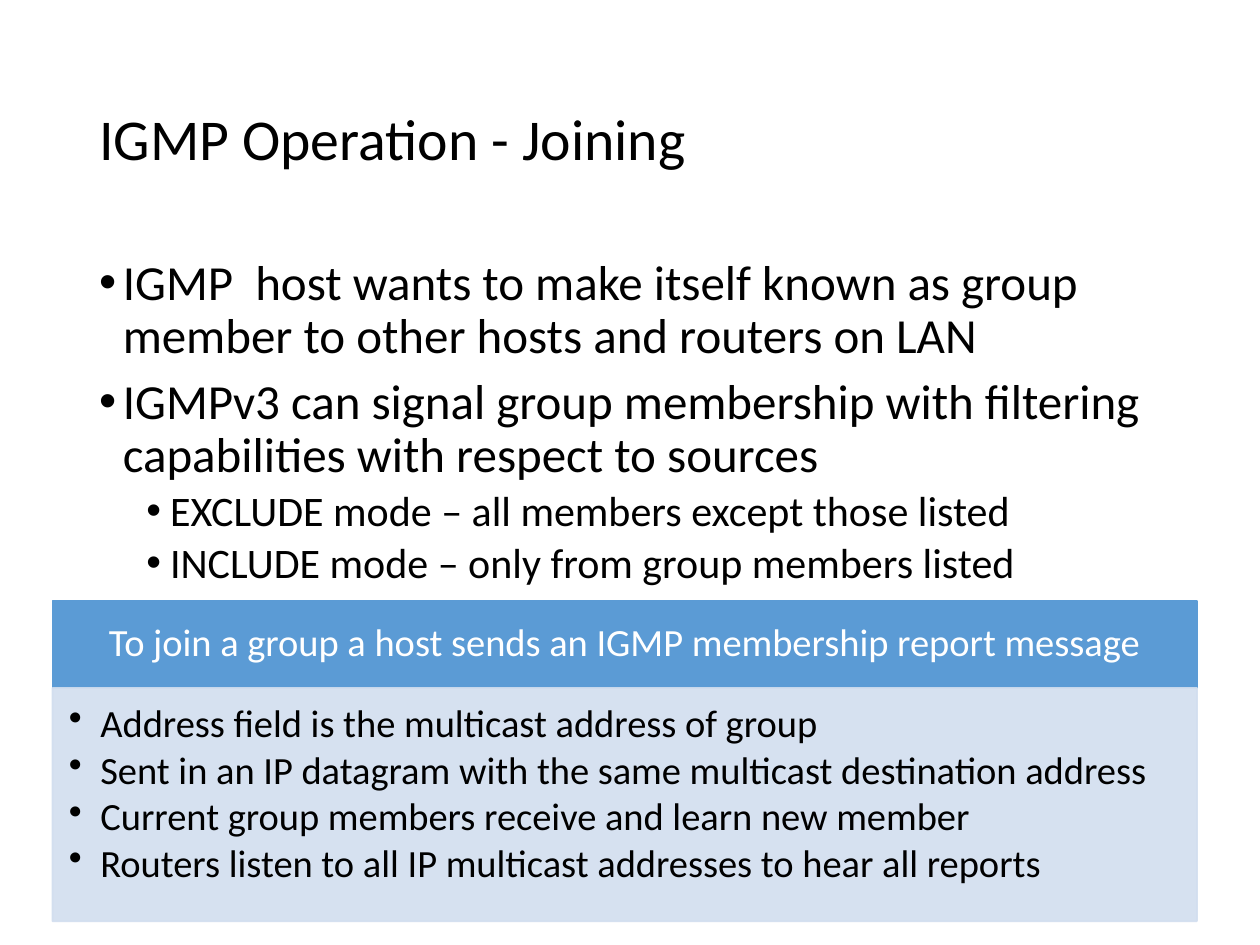
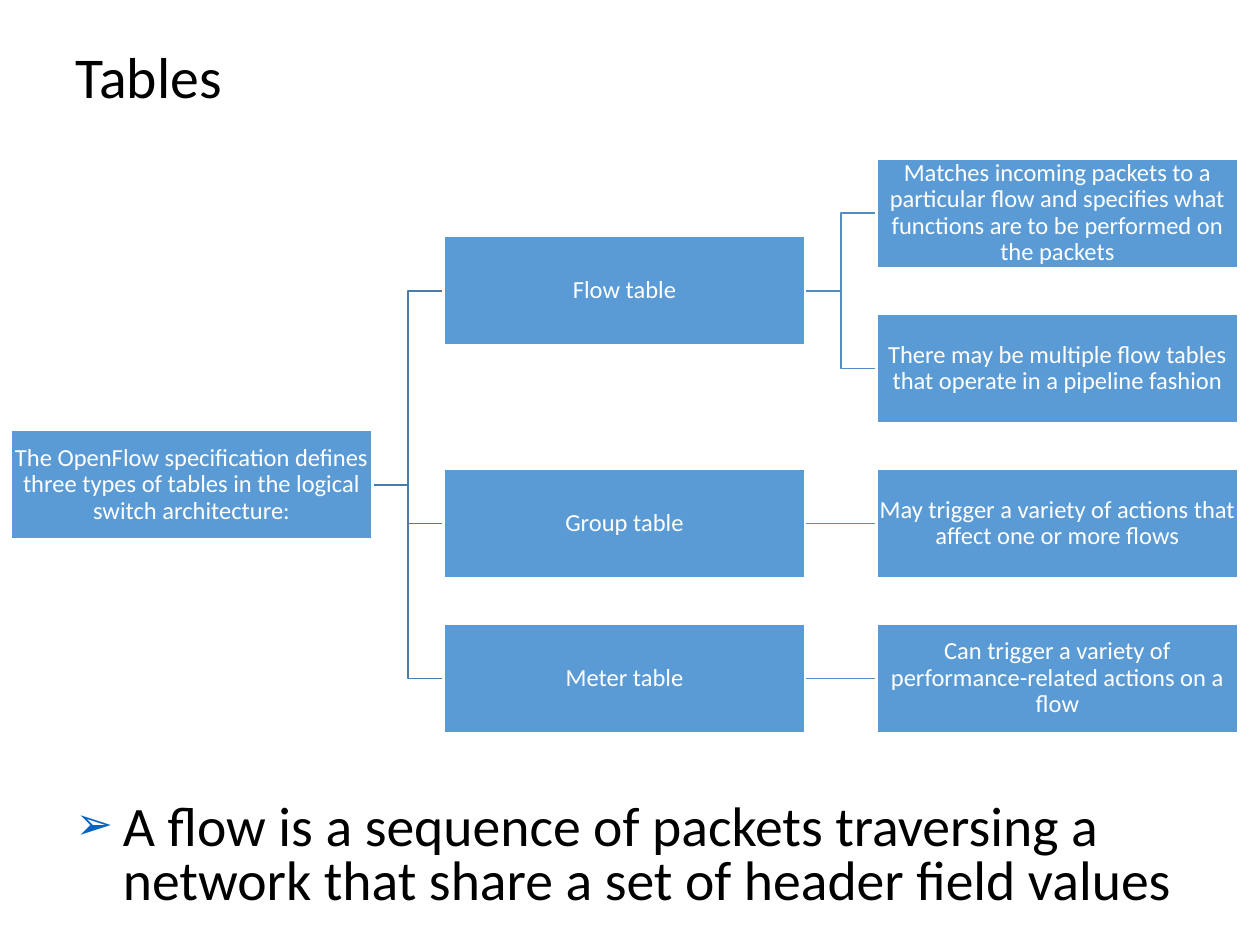
from dataclasses import dataclass
from typing import NamedTuple, Optional

import lxml.etree
import pptx
import pptx.dml.color
import pptx.enum.shapes
import pptx.enum.text
import pptx.oxml.ns
import pptx.util

Pt = pptx.util.Pt
qn = pptx.oxml.ns.qn
RGB = pptx.dml.color.RGBColor.from_string
ALIGN = pptx.enum.text.PP_ALIGN
ANCHOR = pptx.enum.text.MSO_ANCHOR
CONNECTOR = pptx.enum.shapes.MSO_CONNECTOR
RECTANGLE = pptx.enum.shapes.MSO_SHAPE.RECTANGLE


@dataclass(frozen=True)
class Theme:
    font: str = "Calibri"
    text: str = "000000"
    light_text: str = "FFFFFF"
    accent: str = "5B9BD5"
    pale: str = "D2DEEF"
    arrow_bullet: str = "0563C1"
    branch_colors: tuple = ("497CAB", "538DC1")
    title_size: float = 33
    list_sizes: tuple = (28, 24)
    statement_size: float = 31.8
    band_size: float = 22
    node_size: float = 14


THEME = Theme()


class Box(NamedTuple):
    left: float
    top: float
    width: float
    height: float


class Bullet(NamedTuple):
    char: str = "•"
    color: Optional[str] = None
    percent: int = 100


class ParaStyle(NamedTuple):
    size: float
    color: str = THEME.text
    align: ALIGN = ALIGN.LEFT
    spacing: float = 0.9
    before: float = 0
    after: float = 0
    level: int = 0
    margin: float = 0
    hanging: float = 0
    bullet: Optional[Bullet] = None


class Node(NamedTuple):
    text: str
    children: tuple = ()


TITLE = ParaStyle(THEME.title_size)
LIST_STYLES = (
    ParaStyle(THEME.list_sizes[0], before=7.5, margin=13.5, hanging=13.5, bullet=Bullet()),
    ParaStyle(THEME.list_sizes[1], before=3.8, level=1, margin=40.5, hanging=13.5,
              bullet=Bullet()),
)
STATEMENT = ParaStyle(THEME.statement_size, spacing=0.8, level=2, margin=27, hanging=27,
                      bullet=Bullet("➢", THEME.arrow_bullet, 80))
BAND_HEAD = ParaStyle(THEME.band_size, THEME.light_text, ALIGN.CENTER)
BAND_ITEM = ParaStyle(THEME.band_size, after=2.9, level=1, margin=18, hanging=18,
                      bullet=Bullet())
NODE = ParaStyle(THEME.node_size, THEME.light_text, ALIGN.CENTER)

JOIN_POINTS = (
    (0, "IGMP  host wants to make itself known as group member to other hosts "
        "and routers on LAN"),
    (0, "IGMPv3 can signal group membership with filtering capabilities "
        "with respect to sources"),
    (1, "EXCLUDE mode – all members except those listed"),
    (1, "INCLUDE mode – only from group members listed"),
)
REPORT_HEAD = "To join a group a host sends an IGMP membership report message"
REPORT_POINTS = (
    "Address field is the multicast address of group",
    "Sent in an IP datagram with the same multicast destination address",
    "Current group members receive and learn new member",
    "Routers listen to all IP multicast addresses to hear all reports",
)
TABLE_TREE = Node(
    "The OpenFlow specification defines three types of tables in the logical "
    "switch architecture:",
    (
        Node("Flow table", (
            Node("Matches incoming packets to a particular flow and specifies what "
                 "functions are to be performed on the packets"),
            Node("There may be multiple flow tables that operate in a pipeline fashion"),
        )),
        Node("Group table", (
            Node("May trigger a variety of actions that affect one or more flows"),
        )),
        Node("Meter table", (
            Node("Can trigger a variety of performance-related actions on a flow"),
        )),
    ),
)
FLOW_STATEMENT = ("A flow is a sequence of packets traversing a network that share "
                  "a set of header field values")

NODE_WIDTH, NODE_HEIGHT = 206.5, 62.6
TREE_LEFT, TREE_TOP = 6.2, 90.6
COLUMN_PITCH, ROW_PITCH = 247.4, 88.6


def add_bullet(p, style: ParaStyle) -> None:
    pPr = p._p.get_or_add_pPr()
    pPr.set("marL", str(Pt(style.margin)))
    pPr.set("indent", str(-Pt(style.hanging)))
    if style.bullet.color:
        color = lxml.etree.SubElement(pPr, qn("a:buClr"))
        lxml.etree.SubElement(color, qn("a:srgbClr"), val=style.bullet.color)
    lxml.etree.SubElement(pPr, qn("a:buSzPct"), val=str(style.bullet.percent * 1000))
    lxml.etree.SubElement(pPr, qn("a:buChar"), char=style.bullet.char)


def write(tf, items: list[tuple[str, ParaStyle]]) -> None:
    tf.word_wrap = True
    tf.auto_size = pptx.enum.text.MSO_AUTO_SIZE.NONE
    tf.text = "\n".join(text for text, _ in items)
    for i, (p, (_, style)) in enumerate(zip(tf.paragraphs, items)):
        if style.bullet:
            add_bullet(p, style)
        p.level = style.level
        p.alignment = style.align
        p.line_spacing = style.spacing
        p.space_before = Pt(style.before if i else 0)
        p.space_after = Pt(style.after)
        for r in p.runs:
            r.font.name = THEME.font
            r.font.size = Pt(style.size)
            r.font.color.rgb = RGB(style.color)


def place(sp, box: Box) -> None:
    sp.left, sp.top, sp.width, sp.height = map(Pt, box)


def add_slide(prs, title: str, title_box: Box, body_box: Box,
              body: list[tuple[str, ParaStyle]]):
    slide = prs.slides.add_slide(prs.slide_layouts[1])
    place(slide.shapes.title, title_box)
    write(slide.shapes.title.text_frame, [(title, TITLE)])
    slide.shapes.title.text_frame.vertical_anchor = ANCHOR.MIDDLE
    content = slide.placeholders[1]
    place(content, body_box)
    write(content.text_frame, body)
    return slide


def add_panel(slide, box: Box, fill: str, line: str, line_width: float,
              insets: tuple, items: list[tuple[str, ParaStyle]], anchor=ANCHOR.MIDDLE):
    sp = slide.shapes.add_shape(RECTANGLE, *map(Pt, box))
    sp.shadow.inherit = False
    sp.fill.solid()
    sp.fill.fore_color.rgb = RGB(fill)
    sp.line.color.rgb = RGB(line)
    sp.line.width = Pt(line_width)
    tf = sp.text_frame
    tf.margin_left, tf.margin_top, tf.margin_right, tf.margin_bottom = map(Pt, insets)
    tf.vertical_anchor = anchor
    write(tf, items)
    return sp


def set_opacity(sp, percent: int) -> None:
    for color in sp._element.spPr.iter(qn("a:srgbClr")):
        lxml.etree.SubElement(color, qn("a:alpha"), val=str(percent * 1000))


def add_branch(slide, parent, child, color: str) -> None:
    """Join two nodes with a line that lies behind them."""
    level = abs(parent.top - child.top) < Pt(1)
    kind = CONNECTOR.STRAIGHT if level else CONNECTOR.ELBOW
    c = slide.shapes.add_connector(kind, 0, 0, 0, 0)
    c.begin_connect(parent, 3)
    c.end_connect(child, 1)
    c.line.color.rgb = RGB(color)
    c.line.width = Pt(1)
    lxml.etree.SubElement(c._element.spPr, qn("a:effectLst"))
    c._element.getparent().insert(2, c._element)


def add_tree(slide, node: Node, depth: int = 0, row: int = 0):
    """Draw a node centred on its children; return its shape and the next free row."""
    children = []
    for child in node.children:
        sp, row = add_tree(slide, child, depth + 1, row)
        children.append(sp)
    if children:
        top = (children[0].top + children[-1].top) / 2 / Pt(1)
    else:
        top = TREE_TOP + row * ROW_PITCH
        row += 1
    box = Box(TREE_LEFT + depth * COLUMN_PITCH, top, NODE_WIDTH, NODE_HEIGHT)
    parent = add_panel(slide, box, THEME.accent, THEME.light_text, 1.5, (0.7,) * 4,
                       [(node.text, NODE)])
    for sp in children:
        add_branch(slide, parent, sp, THEME.branch_colors[depth])
    return parent, row


def build_joining(prs) -> None:
    slide = add_slide(prs, "IGMP Operation - Joining",
                      Box(49.5, 28.8, 621, 104.4), Box(49.5, 144, 621, 342.7),
                      [(text, LIST_STYLES[level]) for level, text in JOIN_POINTS])
    head = Box(30, 343.4, 654, 49.7)
    add_panel(slide, head, THEME.accent, THEME.accent, 1, (12, 7, 12, 7),
              [(REPORT_HEAD, BAND_HEAD)])
    detail = head._replace(top=head.top + head.height, height=133.3)
    sp = add_panel(slide, detail, THEME.pale, THEME.pale, 1, (9.4, 9.4, 12.5, 14),
                   [(text, BAND_ITEM) for text in REPORT_POINTS], ANCHOR.TOP)
    set_opacity(sp, 90)


def build_tables(prs) -> None:
    slide = add_slide(prs, "Tables", Box(36, 0.7, 648, 90), Box(36, 455.8, 648, 72),
                      [(FLOW_STATEMENT, STATEMENT)])
    add_tree(slide, TABLE_TREE)


def main() -> None:
    prs = pptx.Presentation()
    prs.slide_width, prs.slide_height = Pt(720), Pt(540)
    build_joining(prs)
    build_tables(prs)
    prs.save("out.pptx")


if __name__ == "__main__":
    main()
